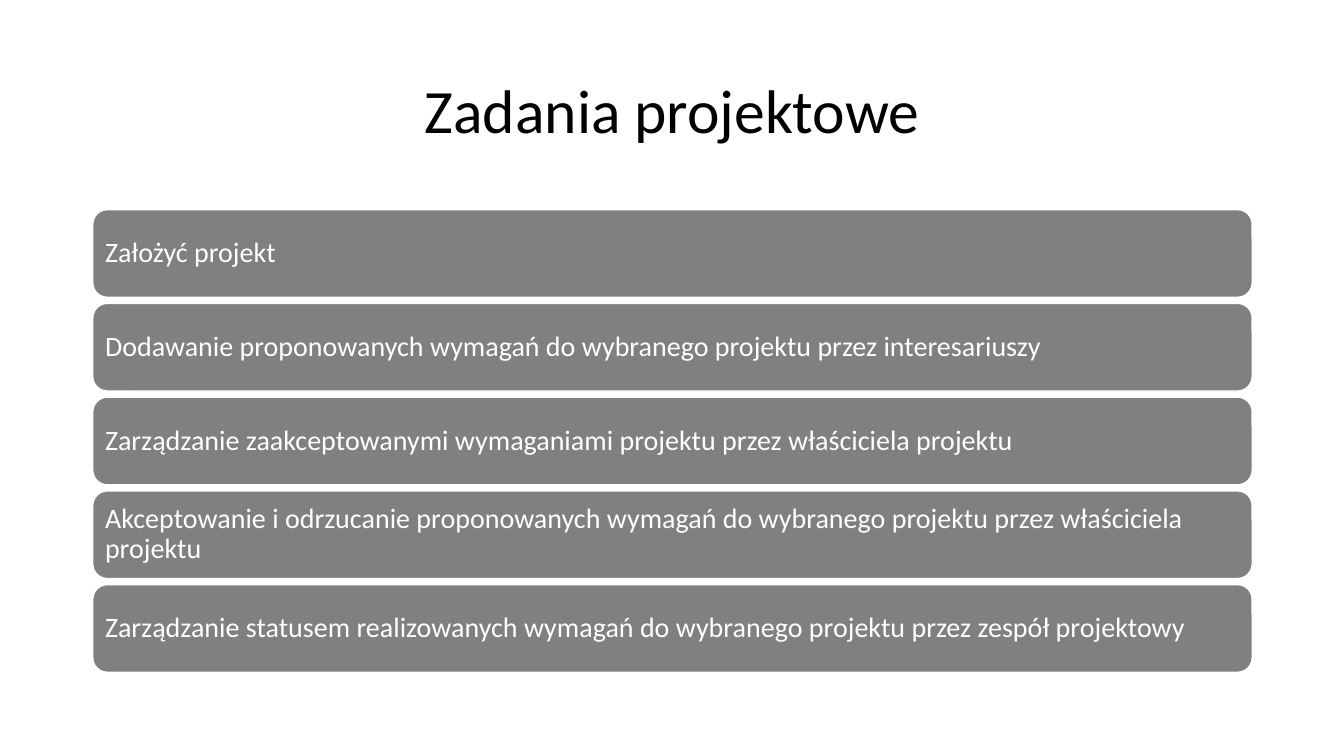
from pptx import Presentation
from pptx.dml.color import RGBColor
from pptx.enum.shapes import MSO_SHAPE
from pptx.enum.text import MSO_ANCHOR, PP_ALIGN
from pptx.util import Inches, Pt

ROUNDED = MSO_SHAPE.ROUNDED_RECTANGLE
MIDDLE = MSO_ANCHOR.MIDDLE
LEFT, CENTER = PP_ALIGN.LEFT, PP_ALIGN.CENTER
BLACK = RGBColor(0x00, 0x00, 0x00)
WHITE = RGBColor(0xFF, 0xFF, 0xFF)
GRAY = RGBColor(0x80, 0x80, 0x80)

MARGIN_LEFT, CONTENT_WIDTH = 0.92, 11.5
FIRST_TASK_TOP, TASK_HEIGHT, TASK_GAP = 2.08, 0.87, 0.06
TASK_INSET = Inches(0.08)

TASKS = [
    "Założyć projekt",
    "Dodawanie proponowanych wymagań do wybranego projektu przez interesariuszy",
    "Zarządzanie zaakceptowanymi wymaganiami projektu przez właściciela projektu",
    "Akceptowanie i odrzucanie proponowanych wymagań do wybranego projektu "
    "przez właściciela projektu",
    "Zarządzanie statusem realizowanych wymagań do wybranego projektu "
    "przez zespół projektowy",
]


def write_text(shape, text, size, color, alignment):
    frame = shape.text_frame
    frame.word_wrap = True
    frame.vertical_anchor = MIDDLE
    paragraph = frame.paragraphs[0]
    paragraph.alignment = alignment
    paragraph.line_spacing = 0.9
    run = paragraph.add_run()
    run.text = text
    run.font.name = "Calibri"
    run.font.size = Pt(size)
    run.font.color.rgb = color


presentation = Presentation()
presentation.slide_width = Inches(13.33)
presentation.slide_height = Inches(7.5)
slide = presentation.slides.add_slide(presentation.slide_layouts[6])

title = slide.shapes.add_textbox(
    Inches(MARGIN_LEFT), Inches(0.4), Inches(CONTENT_WIDTH), Inches(1.45))
write_text(title, "Zadania projektowe", 44, BLACK, CENTER)

for index, task in enumerate(TASKS):
    top = FIRST_TASK_TOP + index * (TASK_HEIGHT + TASK_GAP)
    bar = slide.shapes.add_shape(
        ROUNDED, Inches(MARGIN_LEFT), Inches(top),
        Inches(CONTENT_WIDTH), Inches(TASK_HEIGHT))
    bar.shadow.inherit = False
    bar.fill.solid()
    bar.fill.fore_color.rgb = GRAY
    bar.line.color.rgb = WHITE
    bar.line.width = Pt(1)
    frame = bar.text_frame
    frame.margin_left = frame.margin_right = TASK_INSET
    frame.margin_top = frame.margin_bottom = TASK_INSET
    write_text(bar, task, 20, WHITE, LEFT)

presentation.save("out.pptx")
